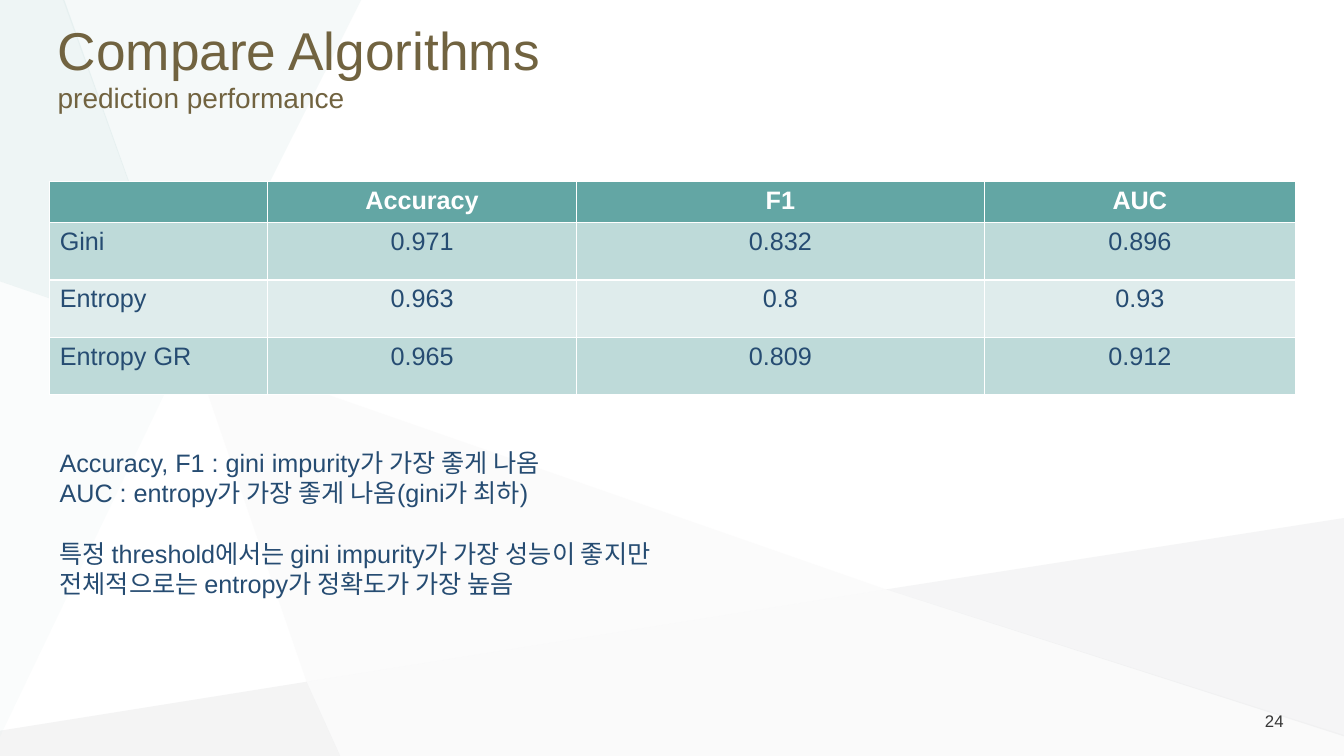
from lxml.etree import SubElement
from pptx import Presentation
from pptx.dml.color import RGBColor
from pptx.enum.text import MSO_ANCHOR, MSO_AUTO_SIZE, PP_ALIGN
from pptx.oxml.ns import qn
from pptx.util import Pt

TEAL, MIST, PALE, NAVY = "63A6A4", "BEDAD9", "DFECEC", "264C72"


def paint(target, color):
    if hasattr(target, "solid"):
        target.solid()
        target = target.fore_color
    target.rgb = RGBColor.from_string(color)


def write(para, text, size, color, align=PP_ALIGN.LEFT, bold=False, gap=0):
    para.text = text
    look = {"alignment": align, "line_spacing": 1.0,
            "space_before": Pt(gap), "space_after": Pt(0)}
    for name, value in look.items():
        setattr(para, name, value)
    font = para.runs[0].font
    for name, value in {"name": "Arial", "size": Pt(size), "bold": bold}.items():
        setattr(font, name, value)
    paint(font.color, color)


deck = Presentation()
deck.slide_width, deck.slide_height = Pt(960), Pt(540)
slide = deck.slides.add_slide(deck.slide_layouts[5])
shapes = slide.shapes

# Faceted backdrop: colour, opacity in percent, corners
facets = [
    ("F3F2F2", 26, [(137, 248), (219, 487), (633, 421)]),
    ("B6B8BA", 15, [(219, 487), (0, 522), (0, 540), (243, 540)]),
    ("E0EDED", 31, [(258, 0), (45, 0), (134, 247)]),
    ("C6C8CA", 17, [(960, 370), (633, 421), (960, 526)]),
    ("B6B8BA", 6, [(633, 421), (219, 487), (243, 540), (960, 540), (960, 525)]),
    ("C1DBDB", 27, [(46, 0), (0, 0), (0, 201), (134, 247)]),
    ("C1DBDB", 8, [(0, 201), (0, 526), (134, 247)]),
]
for color, alpha, points in facets:
    pen = shapes.build_freeform(*points[0], scale=Pt(1))
    pen.add_line_segments(points[1:], close=True)
    facet = pen.convert_to_shape()
    facet.shadow.inherit = False
    facet.line.fill.background()
    paint(facet.fill, color)
    tint = facet.element.spPr.find(qn("a:solidFill"))[0]
    SubElement(tint, qn("a:alpha")).set("val", str(alpha * 1000))

# Title with subtitle line, brought in front of the backdrop
title = shapes.title
title.element.getparent().append(title.element)
title.left, title.top, title.width, title.height = Pt(34), Pt(10), Pt(890), Pt(74)
frame = title.text_frame
frame.auto_size = MSO_AUTO_SIZE.NONE
frame.vertical_anchor = MSO_ANCHOR.MIDDLE
write(frame.paragraphs[0], "Compare Algorithms", 38, "716340")
write(frame.add_paragraph(), "prediction performance", 20, "716340")

# Score table
scores = [
    ("", "Accuracy", "F1", "AUC"),
    ("Gini", "0.971", "0.832", "0.896"),
    ("Entropy", "0.963", "0.8", "0.93"),
    ("Entropy GR", "0.965", "0.809", "0.912"),
]
table = shapes.add_table(4, 4, Pt(35.5), Pt(129.5), Pt(890), Pt(152)).table
for column, width in zip(table.columns, (155.5, 221, 291, 222.5)):
    column.width = Pt(width)
for r, row in enumerate(scores):
    table.rows[r].height = Pt(41 if r else 29.5)
    for c, text in enumerate(row):
        cell = table.cell(r, c)
        paint(cell.fill, (TEAL, MIST, PALE, MIST)[r])
        if text:
            write(cell.text_frame.paragraphs[0], text, 18,
                  NAVY if r else "FFFFFF",
                  PP_ALIGN.CENTER if c else PP_ALIGN.LEFT, bold=r == 0)

# Page number
page = shapes.add_textbox(Pt(700), Pt(500.5), Pt(224), Pt(29)).text_frame
page.word_wrap = True
page.vertical_anchor = MSO_ANCHOR.MIDDLE
write(page.paragraphs[0], "24", 12, "363636", PP_ALIGN.RIGHT)

# Findings, in two groups
notes = [
    ("Accuracy, F1 : gini impurity가 가장 좋게 나옴", 0),
    ("AUC : entropy가 가장 좋게 나옴(gini가 최하)", 0),
    ("특정 threshold에서는 gini impurity가 가장 성능이 좋지만", 21.5),
    ("전체적으로는 entropy가 정확도가 가장 높음", 0),
]
frame = shapes.add_textbox(Pt(35.5), Pt(316), Pt(590), Pt(115)).text_frame
frame.word_wrap = True
for i, (text, gap) in enumerate(notes):
    para = frame.add_paragraph() if i else frame.paragraphs[0]
    write(para, text, 18, NAVY, gap=gap)

deck.save("out.pptx")
